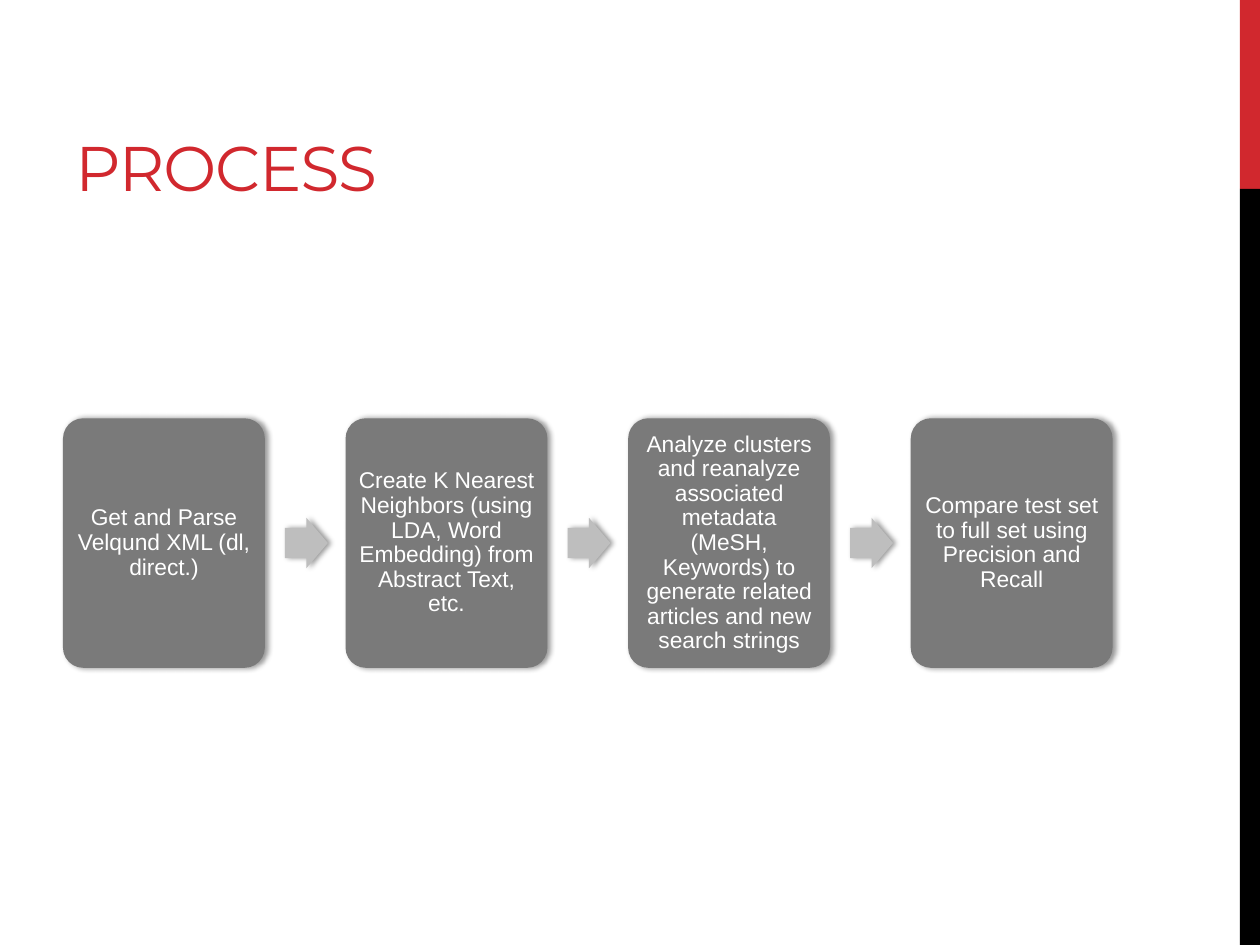
from dataclasses import dataclass

from lxml import etree
from pptx import Presentation
from pptx.dml.color import RGBColor
from pptx.enum.shapes import MSO_SHAPE
from pptx.enum.text import MSO_ANCHOR, PP_ALIGN
from pptx.oxml.ns import qn
from pptx.util import Inches, Pt

RECTANGLE = MSO_SHAPE.RECTANGLE
ROUNDED = MSO_SHAPE.ROUNDED_RECTANGLE
ARROW = MSO_SHAPE.RIGHT_ARROW
MIDDLE, BOTTOM = MSO_ANCHOR.MIDDLE, MSO_ANCHOR.BOTTOM
CENTER = PP_ALIGN.CENTER

COLUMNS, ROWS = 100, 75


@dataclass(frozen=True)
class Theme:
    accent: str = "D1282E"
    black: str = "000000"
    step: str = "7A7A7A"
    arrow: str = "BEBEBE"
    white: str = "FFFFFF"
    title_font: str = "Montserrat"
    body_font: str = "Arial"
    title_size: int = 36
    body_size: int = 13


class SlideBuilder:
    def __init__(self, presentation, theme):
        self.theme = theme
        self.slide = presentation.slides.add_slide(presentation.slide_layouts[6])
        self.column = presentation.slide_width / COLUMNS
        self.row = presentation.slide_height / ROWS

    def place(self, left, top, width, height):
        return (round(left * self.column), round(top * self.row),
                round(width * self.column), round(height * self.row))

    def style(self, paragraph, font_name, size, color):
        font = paragraph.font
        font.name, font.size = font_name, Pt(size)
        font.color.rgb = RGBColor.from_string(color)

    def block(self, kind, area, color, adjustments=()):
        shape = self.slide.shapes.add_shape(kind, *self.place(*area))
        shape.shadow.inherit = False
        shape.fill.solid()
        shape.fill.fore_color.rgb = RGBColor.from_string(color)
        shape.line.fill.background()
        for index, value in enumerate(adjustments):
            shape.adjustments[index] = value
        return shape

    def cast_shadow(self, shape):
        effects = shape._element.spPr.find(qn("a:effectLst"))
        shadow = etree.SubElement(
            effects, qn("a:outerShdw"), blurRad=str(Pt(3.1)), dist=str(Pt(1.8)),
            dir="0", rotWithShape="0")
        color = etree.SubElement(shadow, qn("a:srgbClr"), val=self.theme.black)
        etree.SubElement(color, qn("a:alpha"), val="40000")

    def title(self, text, area):
        frame = self.slide.shapes.add_textbox(*self.place(*area)).text_frame
        frame.word_wrap = True
        frame.vertical_anchor = BOTTOM
        heading = frame.paragraphs[0]
        heading.text = text
        self.style(heading, self.theme.title_font, self.theme.title_size, self.theme.accent)
        heading.runs[0].font._element.set("spc", "-60")

    def step(self, text, area):
        card = self.block(ROUNDED, area, self.theme.step, (0.1,))
        self.cast_shadow(card)
        frame = card.text_frame
        frame.word_wrap = True
        frame.vertical_anchor = MIDDLE
        frame.margin_left = frame.margin_right = Inches(0.05)
        frame.margin_top = frame.margin_bottom = Inches(0.05)
        label = frame.paragraphs[0]
        label.text = text
        label.alignment = CENTER
        label.line_spacing = 0.9
        self.style(label, self.theme.body_font, self.theme.body_size, self.theme.white)

    def arrow(self, area):
        self.cast_shadow(self.block(ARROW, area, self.theme.arrow, (0.6, 0.5)))

    def process(self, steps, left, middle, width, height):
        gap_share = 0.4
        card_width = width / (len(steps) + gap_share * (len(steps) - 1))
        pitch = card_width * (1 + gap_share)
        arrow_width, arrow_height = 3.4, 4
        for index, text in enumerate(steps):
            card_left = left + index * pitch
            if index:
                arrow_left = card_left - 0.3 * card_width
                self.arrow((arrow_left, middle - arrow_height / 2, arrow_width, arrow_height))
            self.step(text, (card_left, middle - height / 2, card_width, height))


def main():
    presentation = Presentation()
    presentation.slide_width, presentation.slide_height = Inches(10), Inches(7.5)
    theme = Theme()
    builder = SlideBuilder(presentation, theme)
    builder.block(RECTANGLE, (98.4, 0, 1.6, 15), theme.accent)
    builder.block(RECTANGLE, (98.4, 15, 1.6, 60), theme.black)
    builder.title("PROCESS", (5, 1.7, 63.3, 15))
    steps = [
        "Get and Parse Velqund XML (dl, direct.)",
        "Create K Nearest Neighbors (using LDA, Word Embedding) from Abstract Text, etc.",
        "Analyze clusters and reanalyze associated metadata (MeSH, Keywords) "
        "to generate related articles and new search strings",
        "Compare test set to full set using Precision and Recall",
    ]
    builder.process(steps, left=5, middle=43.1, width=83.3, height=19.8)
    presentation.save("out.pptx")


if __name__ == "__main__":
    main()
